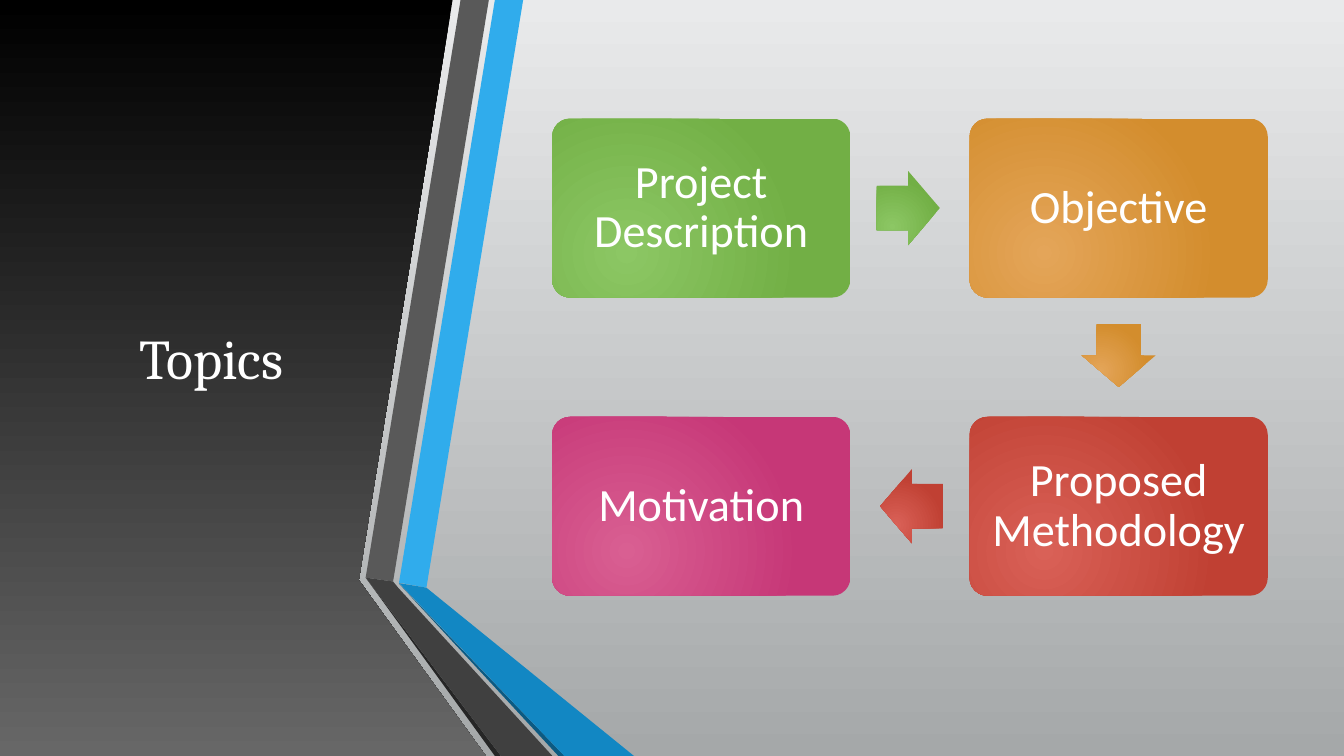
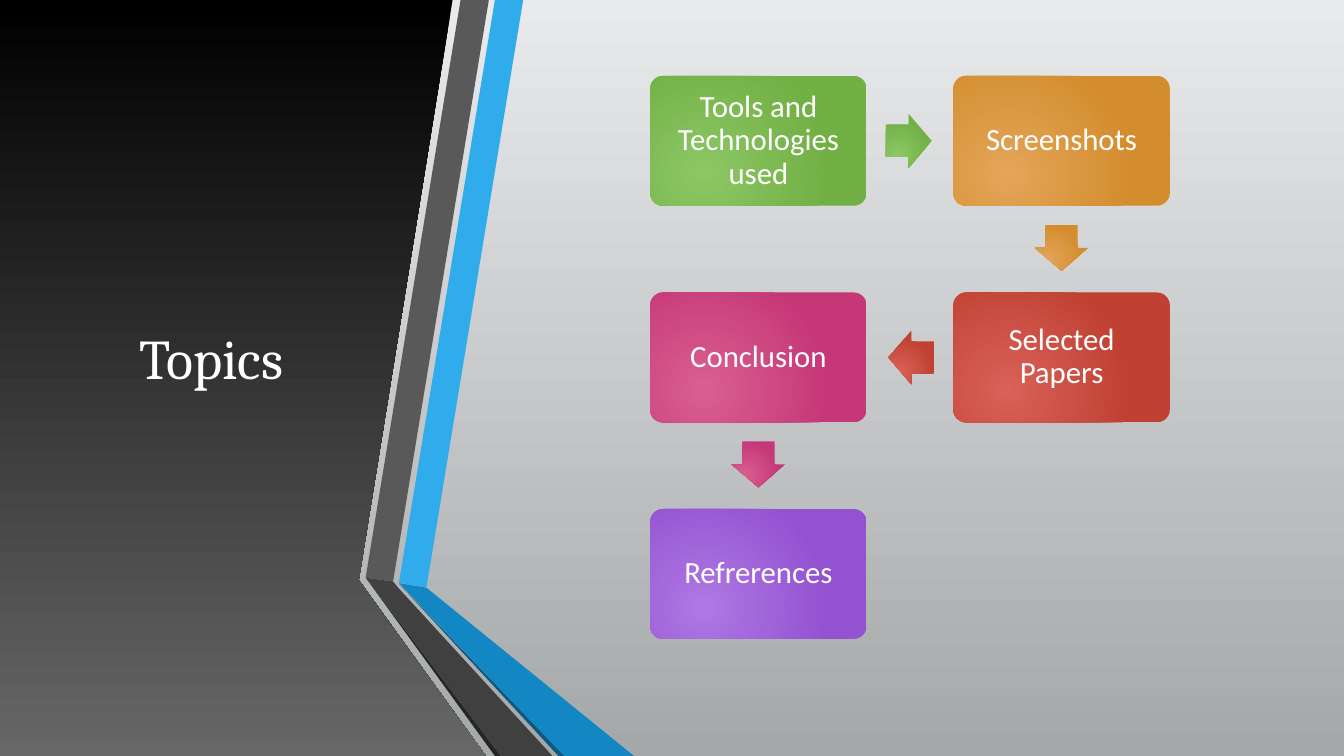
from lxml import etree
from pptx import Presentation
from pptx import util as u
from pptx.dml.color import RGBColor
from pptx.enum import shapes as es, text as et
from pptx.oxml import ns

INK = {
    "white": "FFFFFF", "black": "000000", "ash": "676767",
    "light": "E9EAEB", "dim": "A5A8A9",
    "sky": "30ACEC", "blue": "1287C3", "navy": "0C5A82",
    "gray": "595959", "dark": "404040", "coal": "262626",
}
# Centre and edge colour of each step, in order
TINTS = [("8CC764", "72AF45"), ("E4A559", "D38D2D"), ("D96157", "C04033"),
         ("D95F92", "C63777"), ("AE78E3", "9452D1")]

RIBBONS = [
    ("sky", [(285, 416.2), (304.6, 419.8), (373.7, 0), (353.5, 0)]),
    ("gray", [(349.2, 0), (329, 0), (261.2, 412.6), (280.8, 415.4)]),
    ("coal", [(261.2, 412.6), (353.5, 540), (357.8, 540)]),
    ("navy", [(285, 416.9), (398.9, 540), (403.2, 540)]),
    ("blue", [(285, 416.5), (403.2, 540), (452.9, 540), (304.6, 419.8)]),
    ("dark", [(394.6, 540), (284.4, 419.8), (280.8, 415.4), (261.2, 412.6),
              (357.8, 540)]),
]
PANEL = [(0, 0), (323.3, 0), (256.3, 414.4), (347, 540), (0, 540)]

FLOWS = [
    dict(left=394.4, top=84.7, wide=213, size=33,
         words=["Project Description", "Objective", "Proposed Methodology",
                "Motivation"]),
    dict(left=464.4, top=54.2, wide=154.7, size=22,
         words=["Tools and Technologies used", "Screenshots",
                "Selected Papers", "Conclusion", "Refrerences"]),
]


def rgb(code):
    return RGBColor.from_string(code)


def apply(obj, **vals):
    for key, val in vals.items():
        setattr(obj, key, val)


def style(para, size, face):
    para.alignment = et.PP_ALIGN.CENTER
    apply(para.font, size=u.Pt(size), name=face)
    para.font.color.rgb = rgb(INK["white"])


def blend(fill, first, last):
    """Fill with a two-stop gradient from top to bottom."""
    fill.gradient()
    fill.gradient_angle = 270
    for stop, code in zip(fill.gradient_stops, (first, last)):
        stop.color.rgb = rgb(code)


def glow(shape, tint):
    """Fill with a round gradient centred near the lower left."""
    blend(shape.fill, *tint)
    lin = shape.element.spPr.find(".//" + ns.qn("a:lin"))
    ring = etree.Element(ns.qn("a:path"), path="circle")
    etree.SubElement(ring, ns.qn("a:fillToRect"),
                     l="50000", t="100000", r="100000", b="50000")
    lin.getparent().replace(lin, ring)


def plain(shape):
    shape.shadow.inherit = False
    shape.line.fill.background()
    return shape


def outline(tree, spots):
    (x, y), *rest = [(u.Pt(a), u.Pt(b)) for a, b in spots]
    pen = tree.build_freeform(x, y)
    pen.add_line_segments(rest, close=True)
    return plain(pen.convert_to_shape())


def preset(tree, kind, adjs, tint, left, top, wide, high):
    shape = plain(tree.add_shape(kind, *map(u.Pt, (left, top, wide, high))))
    for i, val in enumerate(adjs):
        shape.adjustments[i] = val
    glow(shape, tint)
    return shape


def dress(layout, tree):
    """Give the layout its backdrop, ribbons and title place.

    The shapes are drawn in tree, then moved to the layout.
    """
    blend(layout.background.fill, INK["light"], INK["dim"])
    panel = outline(tree, PANEL)
    blend(panel.fill, INK["black"], INK["ash"])
    parts = [panel]
    for name, spots in RIBBONS:
        part = outline(tree, spots)
        part.fill.solid()
        part.fill.fore_color.rgb = rgb(INK[name])
        parts.append(part)
    for part in parts:
        layout.shapes.element.append(part.element)
    apply(layout.placeholders[0], left=u.Pt(42.5), top=u.Pt(54),
          width=u.Pt(208), height=u.Pt(402))


def title(slide, words):
    frame = slide.shapes.title.text_frame
    frame.text = words
    apply(frame, vertical_anchor=et.MSO_ANCHOR.MIDDLE, word_wrap=True)
    style(frame.paragraphs[0], 40, "Cambria")


def step(tree, words, size, tint, *place):
    box = preset(tree, es.MSO_SHAPE.ROUNDED_RECTANGLE, [0.1], tint, *place)
    frame = box.text_frame
    frame.text = words
    pad = u.Pt(size * 0.31)
    apply(frame, word_wrap=True, vertical_anchor=et.MSO_ANCHOR.MIDDLE,
          margin_left=pad, margin_right=pad, margin_top=pad,
          margin_bottom=pad)
    para = frame.paragraphs[0]
    style(para, size, "Calibri")
    para.line_spacing = 0.9


def arrow(tree, tint, row, odd, x, y, wide, high):
    """Point from the box at x, y to the next one in the snake."""
    long, broad, gap = wide * 0.212, wide * 0.248, wide * 0.088
    if odd:
        kind = es.MSO_SHAPE.DOWN_ARROW
        place = (x + (wide - broad) / 2, y + high + gap, broad, long)
    else:
        back = row % 2
        kind = es.MSO_SHAPE.LEFT_ARROW if back else es.MSO_SHAPE.RIGHT_ARROW
        start = x - gap - long if back else x + wide + gap
        place = (start, y + (high - broad) / 2, long, broad)
    preset(tree, kind, [0.6, 0.5], tint, *place)


def flow(tree, left, top, wide, size, words):
    """Lay the steps out as a snake, two to a row."""
    high = wide * 0.6
    for i, (word, tint) in enumerate(zip(words, TINTS)):
        row, odd = divmod(i, 2)
        col = 1 - odd if row % 2 else odd
        place = (left + col * wide * 1.4, top + row * wide, wide, high)
        step(tree, word, size, tint, *place)
        if i < len(words) - 1:
            arrow(tree, tint, row, odd, *place)


def main():
    deck = Presentation()
    apply(deck, slide_width=u.Pt(960), slide_height=u.Pt(540))
    layout = deck.slide_layouts[5]
    slides = [deck.slides.add_slide(layout) for _ in FLOWS]
    dress(layout, slides[0].shapes)
    for slide, plan in zip(slides, FLOWS):
        title(slide, " Topics")
        flow(slide.shapes, **plan)
    deck.save("out.pptx")


if __name__ == "__main__":
    main()
